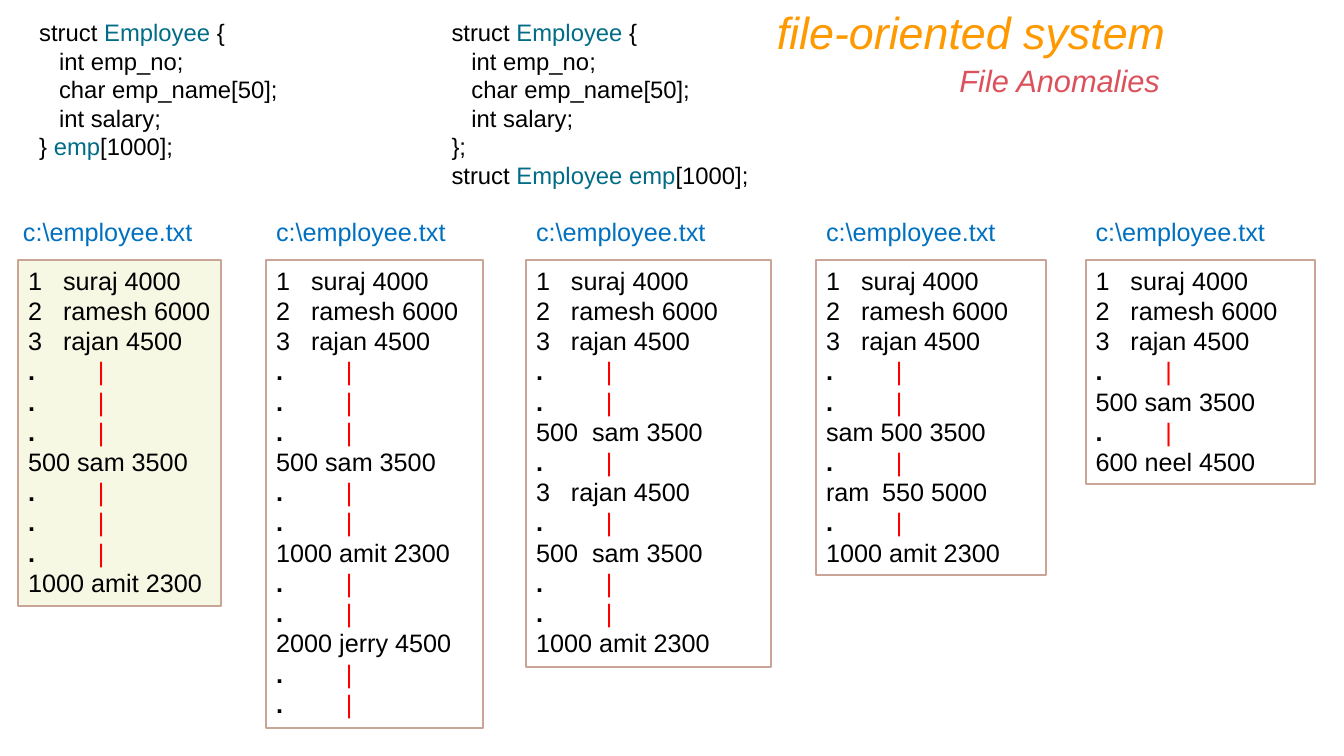
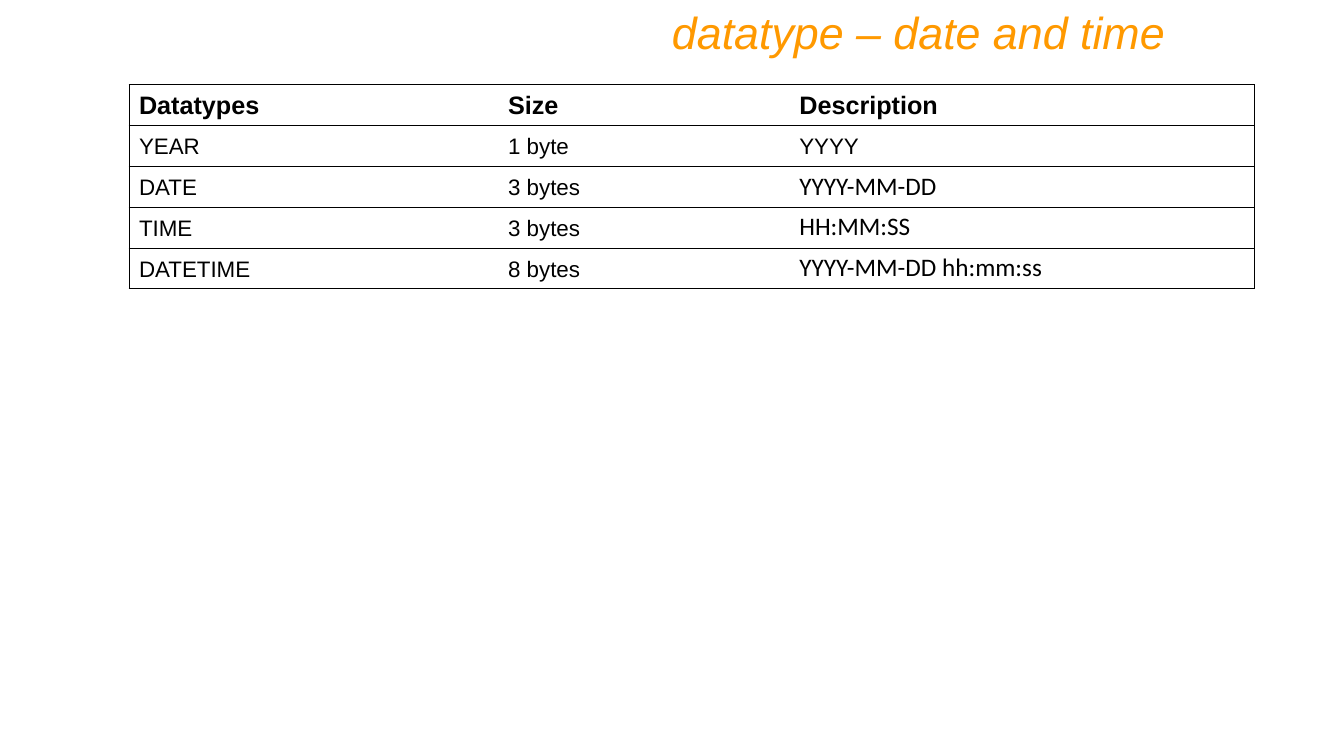
from lxml import etree
from pptx import Presentation
from pptx.dml.color import RGBColor
from pptx.enum.shapes import MSO_SHAPE
from pptx.enum.text import MSO_ANCHOR, MSO_AUTO_SIZE, PP_ALIGN
from pptx.oxml.ns import qn
from pptx.util import Cm, Pt

RECT = MSO_SHAPE.RECTANGLE
TOP, MIDDLE = MSO_ANCHOR.TOP, MSO_ANCHOR.MIDDLE
FIXED = MSO_AUTO_SIZE.NONE
LEFT, RIGHT = PP_ALIGN.LEFT, PP_ALIGN.RIGHT

BLACK = RGBColor(0x00, 0x00, 0x00)
WHITE = RGBColor(0xFF, 0xFF, 0xFF)
ORANGE = RGBColor(0xFF, 0x99, 0x00)
ROSE = RGBColor(0xDC, 0x52, 0x5C)
TEAL = RGBColor(0x00, 0x6C, 0x86)
BLUE = RGBColor(0x00, 0x70, 0xC0)
RED = RGBColor(0xFF, 0x00, 0x00)
TAN = RGBColor(0xCA, 0xA4, 0x96)
CREAM = RGBColor(0xF6, 0xF8, 0xE4)

SANS, BODY = "Arial", "Calibri"
MARK = "*"
DOT = ".\t"
GAP = DOT + MARK + "|"
GAP_TABS = (1.76,)
ROW_TABS = (0.88, 1.41)
CODE_TABS = (0.5,)
LINE, PAD = 0.77, 0.25

STRUCT = ["struct *Employee* {", "\tint emp_no;", "\tchar emp_name[50];", "\tint salary;"]
CODES = [
    (0.74, 8.2, STRUCT + ["} *emp*[1000];"]),
    (11.13, 10.8, STRUCT + ["};", "struct *Employee emp*[1000];"]),
]

START = ["1\tsuraj 4000", "2\tramesh 6000", "3\trajan 4500", GAP]
SAM, AMIT = "500 sam 3500", "1000 amit 2300"
WIDE = "500\tsam 3500"
FILES = [
    (0.33, 0.46, 5.11, CREAM, START + [GAP, GAP, SAM, GAP, GAP, GAP, AMIT]),
    (6.71, 6.71, 5.46, None,
     START + [GAP, GAP, SAM, GAP, GAP, AMIT, GAP, GAP, "2000 jerry 4500", GAP, GAP]),
    (13.26, 13.26, 6.17, None,
     START + [GAP, WIDE, GAP, "3\trajan 4500", GAP, WIDE, GAP, GAP, AMIT]),
    (20.57, 20.57, 5.79, None,
     START + [GAP, "sam 500 3500", GAP, "ram\t550 5000", GAP, AMIT]),
    (27.36, 27.36, 5.79, None, START + [SAM, GAP, "600 neel 4500"]),
]

TYPES = [
    ("Datatypes", "Size", "Description"),
    ("YEAR", "1 byte", "YYYY"),
    ("DATE", "3 bytes", "YYYY-MM-DD"),
    ("TIME", "3 bytes", "HH:MM:SS"),
    ("DATETIME", "8 bytes", "YYYY-MM-DD hh:mm:ss"),
]
WIDTHS = (9.3, 7.34, 11.73)
HEIGHT = 1.03


def set_tabs(para, stops):
    props = para._p.get_or_add_pPr()
    tabs = etree.SubElement(props, qn("a:tabLst"))
    for stop in stops:
        etree.SubElement(tabs, qn("a:tab"), pos=str(Cm(stop)), algn="l")


def write(frame, lines, size=18, color=BLACK, accent=RED, font=SANS,
          bold=False, italic=False, align=LEFT, tabs=()):
    for i, line in enumerate(lines):
        para = frame.add_paragraph() if i else frame.paragraphs[0]
        para.alignment = align
        para.line_spacing = Pt(size * 1.2)
        stops = GAP_TABS if line == GAP else tabs
        if stops:
            set_tabs(para, stops)
        for j, part in enumerate(line.split(MARK)):
            if not part:
                continue
            run = para.add_run()
            run.text = part
            run.font.name = font
            run.font.size = Pt(size)
            run.font.bold = bold or part == DOT
            run.font.italic = italic
            run.font.color.rgb = accent if j % 2 else color


def set_frame(shape):
    frame = shape.text_frame
    frame.word_wrap = True
    frame.auto_size = FIXED
    frame.vertical_anchor = TOP
    return frame


def add_text(slide, x, y, w, h, lines, **style):
    box = slide.shapes.add_textbox(Cm(x), Cm(y), Cm(w), Cm(h))
    write(set_frame(box), lines, **style)


def add_slide(deck, title):
    slide = deck.slides.add_slide(deck.slide_layouts[5])
    head = slide.shapes.title
    head.left, head.top, head.width, head.height = Cm(4.23), Cm(0), Cm(25.4), Cm(1.62)
    write(set_frame(head), [title], size=32, color=ORANGE, italic=True, align=RIGHT)
    return slide


def add_file(slide, label, x, w, fill, lines):
    add_text(slide, label, 5.33, w, 1.02, ["c:\\employee.txt"], color=BLUE)
    box = slide.shapes.add_shape(RECT, Cm(x), Cm(6.55), Cm(w), Cm(LINE * len(lines) + PAD))
    box.shadow.inherit = False
    box.line.color.rgb = TAN
    box.line.width = Pt(1.5)
    if fill:
        box.fill.solid()
        box.fill.fore_color.rgb = fill
    else:
        box.fill.background()
    frame = set_frame(box)
    frame.margin_right = 0
    write(frame, lines, tabs=ROW_TABS)


def set_edges(cell, shown):
    props = cell._tc.get_or_add_tcPr()
    for i, side in enumerate("LRTB"):
        edge = etree.Element(qn("a:ln" + side), w=str(Pt(0.75)))
        if side in shown:
            fill = etree.SubElement(edge, qn("a:solidFill"))
            etree.SubElement(fill, qn("a:srgbClr"), val=str(BLACK))
        else:
            etree.SubElement(edge, qn("a:noFill"))
        props.insert(i, edge)


def add_grid(slide, x, y, rows):
    count, last = len(rows), len(WIDTHS) - 1
    table = slide.shapes.add_table(count, len(WIDTHS), Cm(x), Cm(y),
                                   Cm(sum(WIDTHS)), Cm(HEIGHT * count)).table
    table.first_row = table.horz_banding = False
    for col, width in zip(table.columns, WIDTHS):
        col.width = Cm(width)
    for r, row in enumerate(rows):
        table.rows[r].height = Cm(HEIGHT)
        for c, text in enumerate(row):
            cell = table.cell(r, c)
            cell.fill.solid()
            cell.fill.fore_color.rgb = WHITE
            cell.vertical_anchor = MIDDLE if r else TOP
            form = r > 1 and c == last
            write(cell.text_frame, [text], size=18 if form or r == 0 else 16,
                  font=BODY if form else SANS, bold=r == 0)
            set_edges(cell, "TB" + ("L" if c == 0 else "") + ("R" if c == last else ""))


def main():
    deck = Presentation()
    deck.slide_width, deck.slide_height = Cm(33.87), Cm(19.05)

    slide = add_slide(deck, "file-oriented system")
    add_text(slide, 23.93, 1.42, 5.79, 1.19, ["File Anomalies"],
             size=22, color=ROSE, italic=True)
    for x, w, lines in CODES:
        add_text(slide, x, 0.33, w, 4.62, lines, size=17, accent=TEAL, tabs=CODE_TABS)
    for item in FILES:
        add_file(slide, *item)

    slide = add_slide(deck, "datatype – date and time")
    add_grid(slide, 3.25, 2.13, TYPES)
    deck.save("out.pptx")


if __name__ == "__main__":
    main()
